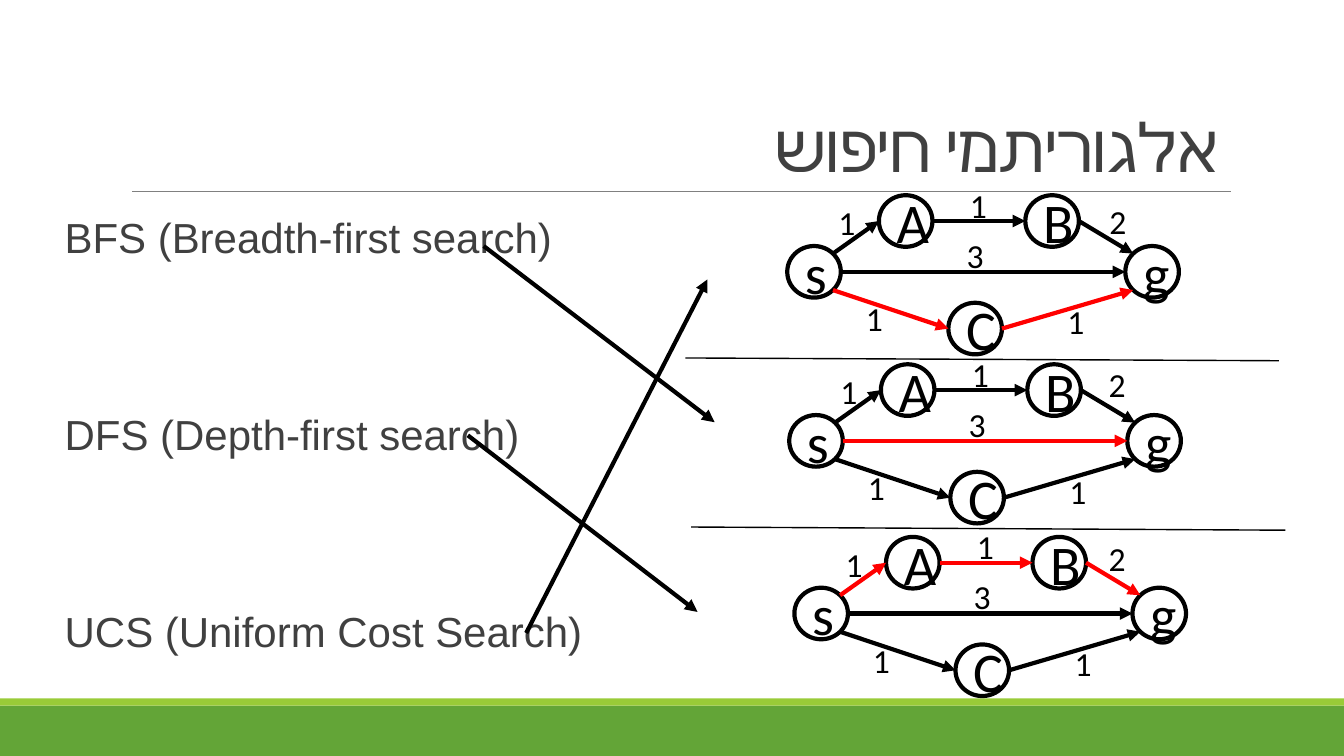
from dataclasses import dataclass
from math import cos, radians, sin

from lxml.etree import SubElement
from pptx import Presentation
from pptx.dml.color import RGBColor as RGB
from pptx.enum.shapes import MSO_CONNECTOR as CONN, MSO_SHAPE as SHAPE
from pptx.enum.text import MSO_ANCHOR as ANCHOR, MSO_AUTO_SIZE as AUTO, PP_ALIGN as ALIGN
from pptx.oxml.ns import qn
from pptx.util import Cm, Pt


@dataclass(frozen=True)
class Theme:
    green: str = "63A537"
    lime: str = "99CB38"
    grey: str = "808080"
    text: str = "404040"
    black: str = "000000"
    white: str = "FFFFFF"
    red: str = "FF0000"
    title_size: int = 48
    node_size: int = 40
    body_size: int = 30
    cost_size: int = 24
    font: str = "Calibri"
    body_font: str = "Arial"


NODE_W, NODE_H = 1.35, 1.3
# Node positions relative to the start node
NODES = {"s": (0, 0), "A": (2.31, -1.28), "B": (6, -1.28),
         "C": (4.06, 1.43), "g": (8.52, 0)}
# Edge: angles where it leaves and enters, cost, cost position
EDGES = {
    "sA": (315, 180, "1", (1.04, -1.24)),
    "AB": (0, 180, "1", (4.35, -1.67)),
    "Bg": (0, 225, "2", None),
    "sg": (0, 180, "3", (4.27, -0.41)),
    "sC": (45, 180, "1", (1.73, 1.18)),
    "Cg": (0, 135, "1", (6.81, 1.27)),
}
# Graph: start node position, red path, position of the B-g cost
GRAPHS = [
    ((19.84, 6.2), ("sC", "Cg"), (7.87, -1.27)),
    ((19.89, 10.46), ("sg",), (7.8, -1.42)),
    ((20.02, 14.81), ("sA", "AB", "Bg"), (7.67, -1.37)),
]
SEPARATORS = [((17.27, 9.02), (32.23, 9.09)), ((17.42, 13.28), (32.39, 13.36))]
MATCHES = [((12.19, 6.2), (18.01, 10.64)), ((11.79, 10.97), (17.58, 15.42)),
           ((13.26, 15.95), (17.83, 7.04))]
ALGORITHMS = ["BFS (Breadth-first search)", "DFS (Depth-first search)",
              "UCS (Uniform Cost Search)"]


def write(p, text, size, color, font, align=ALIGN.LEFT, line=None,
          before=0, after=0, rtl=False, spacing=None):
    p.alignment = align
    p.space_before, p.space_after = Pt(before), Pt(after)
    if line:
        p.line_spacing = line
    if rtl:
        p._p.get_or_add_pPr().set("rtl", "1")
    r = p.add_run()
    r.text = text
    r.font.size, r.font.name = Pt(size), font
    r.font.color.rgb = RGB.from_string(color)
    rPr = r._r.get_or_add_rPr()
    SubElement(rPr, qn("a:cs"), typeface=font)
    if spacing:
        rPr.set("spc", str(spacing))


def rim_point(origin, node, angle):
    """Return the point on a node's outline, clockwise from its right side."""
    x, y = NODES[node]
    return (origin[0] + x + NODE_W / 2 * (1 + cos(radians(angle))),
            origin[1] + y + NODE_H / 2 * (1 + sin(radians(angle))))


class SlideBuilder:
    def __init__(self, slide, theme):
        self.shapes, self.theme = slide.shapes, theme

    def shape(self, kind, x, y, w, h, fill, line=None):
        sp = self.shapes.add_shape(kind, Cm(x), Cm(y), Cm(w), Cm(h))
        sp.shadow.inherit = False
        sp.fill.solid()
        sp.fill.fore_color.rgb = RGB.from_string(fill)
        if line:
            sp.line.color.rgb = RGB.from_string(line)
            sp.line.width = Pt(3)
        else:
            sp.line.fill.background()
        return sp

    def line(self, start, end, color, width, arrow=False):
        cx = self.shapes.add_connector(CONN.STRAIGHT, *map(Cm, (*start, *end)))
        cx.line.color.rgb = RGB.from_string(color)
        cx.line.width = Pt(width)
        if arrow:
            SubElement(cx.line._get_or_add_ln(), qn("a:tailEnd"), type="triangle")
        SubElement(cx._element.spPr, qn("a:effectLst"))

    def text_box(self, x, y, w, h, wrap=True):
        tf = self.shapes.add_textbox(Cm(x), Cm(y), Cm(w), Cm(h)).text_frame
        tf.word_wrap = wrap
        return tf

    def title(self, text):
        t = self.theme
        tf = self.text_box(3.05, 0.79, 27.94, 4.04)
        tf.vertical_anchor = ANCHOR.BOTTOM
        write(tf.paragraphs[0], text, t.title_size, t.text, t.font,
              align=ALIGN.RIGHT, line=0.85, rtl=True, spacing=-50)

    def body(self, items):
        t = self.theme
        tf = self.text_box(1.63, 5.36, 13.46, 12.47)
        tf.margin_left = tf.margin_right = 0
        for i, item in enumerate(items):
            p = tf.add_paragraph() if i else tf.paragraphs[0]
            write(p, item, t.body_size, t.text, t.body_font, line=0.9,
                  before=106 if i else 0, after=2)

    def node(self, name, x, y):
        t = self.theme
        sp = self.shape(SHAPE.OVAL, x, y, NODE_W, NODE_H, t.white, t.black)
        tf = sp.text_frame
        tf.word_wrap = True
        tf.vertical_anchor = ANCHOR.MIDDLE
        write(tf.paragraphs[0], name, t.node_size, t.black, t.font, align=ALIGN.CENTER)

    def cost(self, text, x, y):
        t = self.theme
        tf = self.text_box(x, y, 0.94, 1.27, wrap=False)
        tf.auto_size = AUTO.SHAPE_TO_FIT_TEXT
        write(tf.paragraphs[0], text, t.cost_size, t.black, t.font)

    def graph(self, origin, red_path, last_cost_at):
        t = self.theme
        ox, oy = origin
        for name, (x, y) in NODES.items():
            self.node(name, ox + x, oy + y)
        for edge, (leave, enter, cost, cost_at) in EDGES.items():
            a, b = edge
            self.line(rim_point(origin, a, leave), rim_point(origin, b, enter),
                      t.red if edge in red_path else t.black, 3, arrow=True)
            x, y = cost_at or last_cost_at
            self.cost(cost, ox + x, oy + y)


def main():
    prs = Presentation()
    prs.slide_width, prs.slide_height = Cm(33.87), Cm(19.05)
    t = Theme()
    s = SlideBuilder(prs.slides.add_slide(prs.slide_layouts[6]), t)
    s.shape(SHAPE.RECTANGLE, 0, 17.78, 33.87, 1.27, t.green)
    s.shape(SHAPE.RECTANGLE, 0, 17.6, 33.87, 0.18, t.lime)
    s.line((3.33, 4.83), (31.01, 4.83), t.grey, 0.5)
    s.title("אלגוריתמי חיפוש")
    s.body(ALGORITHMS)
    for graph in GRAPHS:
        s.graph(*graph)
    for start, end in SEPARATORS:
        s.line(start, end, t.black, 1)
    for start, end in MATCHES:
        s.line(start, end, t.black, 3, arrow=True)
    prs.save("out.pptx")


if __name__ == "__main__":
    main()
